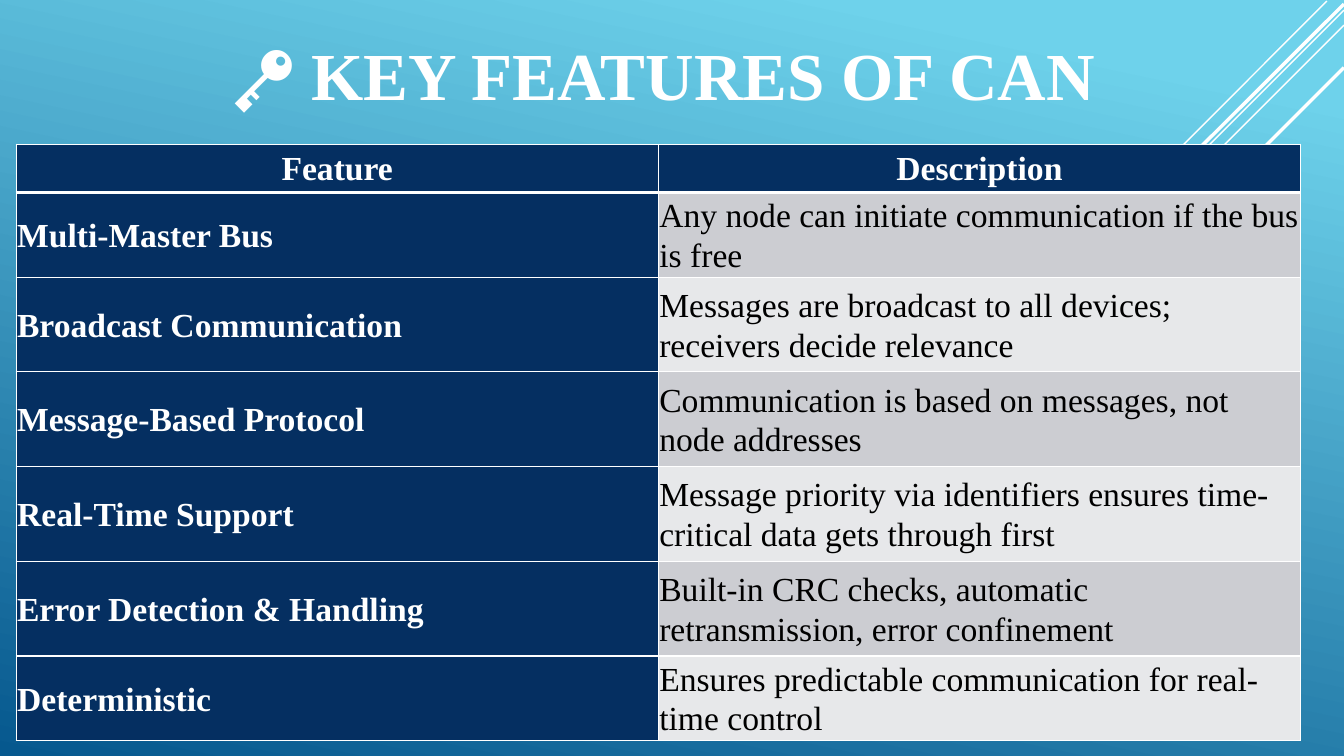
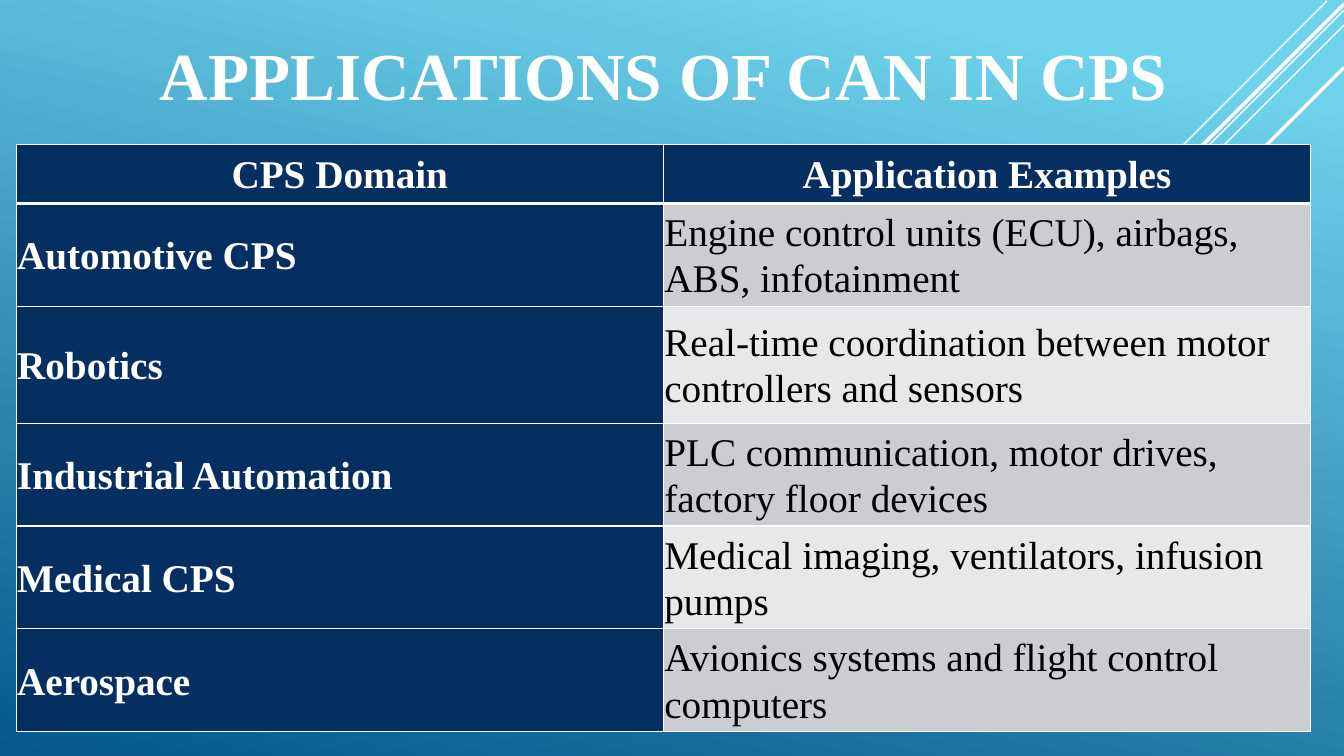
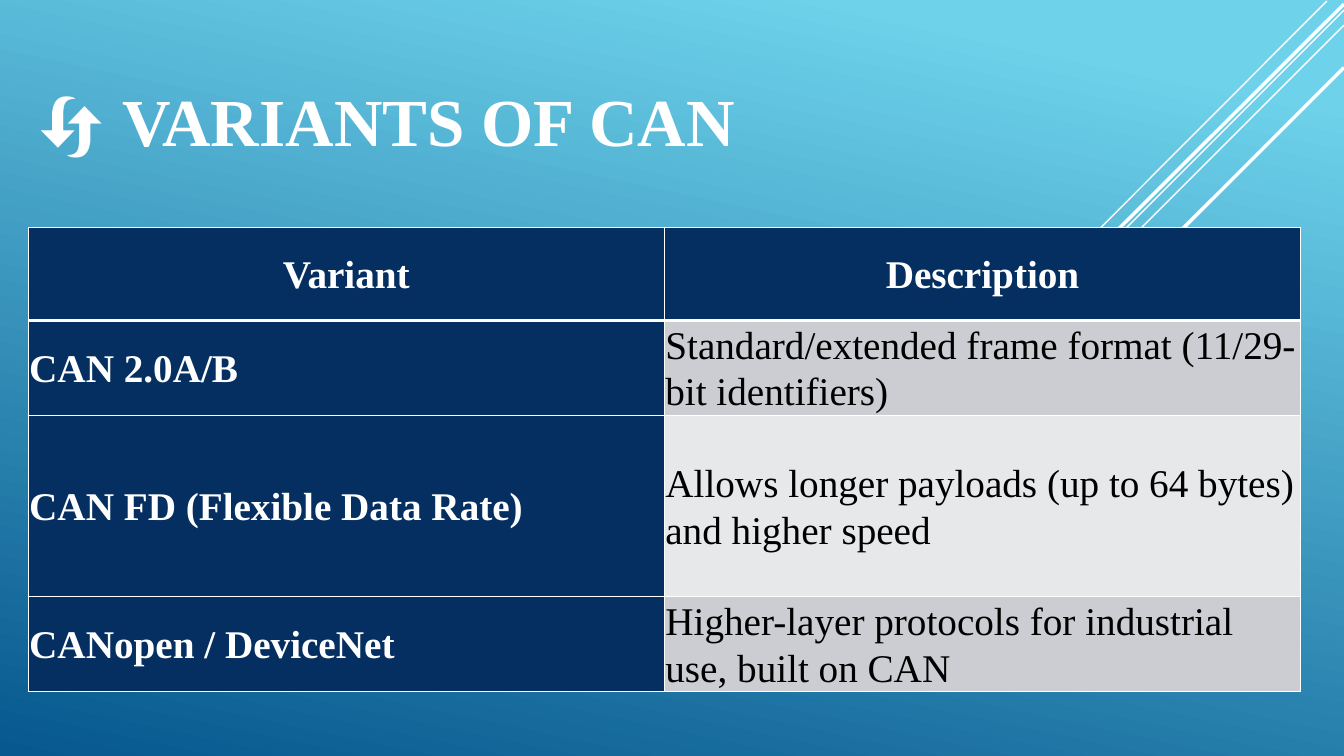
from dataclasses import dataclass

from lxml.etree import SubElement
from pptx import Presentation
from pptx.dml.color import RGBColor
from pptx.enum.shapes import MSO_CONNECTOR
from pptx.enum.text import MSO_ANCHOR, MSO_AUTO_SIZE, PP_ALIGN
from pptx.oxml.ns import qn
from pptx.util import Inches, Pt


@dataclass(frozen=True)
class Theme:
    white: str = "FFFFFF"
    black: str = "000000"
    navy: str = "052F61"
    bands: tuple = ("CCCDD2", "E7E8EA")
    sky: tuple = ((0.1, "6ED2EB"), (1, "06588E"))
    angle: int = 258
    serif: str = "Times New Roman"
    sans: str = "League Spartan"
    title: int = 48
    thin: float = 1
    thick: float = 3
    inset: float = 0.01
    leading: float = 1.07


THEME = Theme()

RAYS = [
    ((13.16, 0.01), (9, 4.18), 1),
    ((13.33, 0.1), (6.68, 6.75), 1),
    ((13.33, 0.25), (7.91, 5.67), 1),
    ((13.33, 0.04), (8.02, 5.34), 2.5),
    ((13.33, 0.67), (8.58, 5.42), 2.5),
]

SLIDES = [
    {
        "title": [("🔑 KEY FEATURES OF CAN", THEME.serif)],
        "align": PP_ALIGN.CENTER,
        "tall": 1,
        "at": (0.16, 1.43),
        "col": 6.37,
        "rows": [0.48, 0.84, 0.94, 0.94, 0.94, 0.94, 0.84],
        "size": 24,
        "cells": [
            ("Feature", "Description"),
            ("Multi-Master Bus", "Any node can initiate communication if the bus is free"),
            ("Broadcast Communication", "Messages are broadcast to all devices; receivers decide relevance"),
            ("Message-Based Protocol", "Communication is based on messages, not node addresses"),
            ("Real-Time Support", "Message priority via identifiers ensures time-critical data gets through first"),
            ("Error Detection & Handling", "Built-in CRC checks, automatic retransmission, error confinement"),
            ("Deterministic", "Ensures predictable communication for real-time control"),
        ],
    },
    {
        "title": [("APPLICATIONS OF CAN IN CPS", THEME.serif)],
        "align": PP_ALIGN.CENTER,
        "tall": 1,
        "at": (0.16, 1.43),
        "col": 6.42,
        "rows": [0.59, 1.02, 1.16, 1.02, 1.02, 1.02],
        "size": 28,
        "cells": [
            ("CPS Domain", "Application Examples"),
            ("Automotive CPS", "Engine control units (ECU), airbags, ABS, infotainment"),
            ("Robotics", "Real-time coordination between motor controllers and sensors"),
            ("Industrial Automation", "PLC communication, motor drives, factory floor devices"),
            ("Medical CPS", "Medical imaging, ventilators, infusion pumps"),
            ("Aerospace", "Avionics systems and flight control computers"),
        ],
    },
    {
        "title": [("🔄 ", THEME.sans), ("VARIANTS OF CAN", THEME.serif)],
        "align": PP_ALIGN.LEFT,
        "tall": 1.46,
        "at": (0.28, 2.26),
        "col": 6.31,
        "rows": [0.92, 0.92, 1.8, 0.92],
        "size": 28,
        "cells": [
            ("Variant", "Description"),
            ("CAN 2.0A/B", "Standard/extended frame format (11/29-bit identifiers)"),
            ("CAN FD (Flexible Data Rate)", "Allows longer payloads (up to 64 bytes) and higher speed"),
            ("CANopen / DeviceNet", "Higher-layer protocols for industrial use, built on CAN"),
        ],
    },
]


def rgb(tone):
    return RGBColor.from_string(tone)


def add_run(para, text, face, size, tone, bold):
    run = para.add_run()
    run.text = text
    font = run.font
    font.name, font.size, font.bold = face, Pt(size), bold
    font.color.rgb = rgb(tone)


def paint_back(master):
    fill = master.background.fill
    fill.gradient()
    fill.gradient_angle = THEME.angle
    for stop, (spot, tone) in zip(fill.gradient_stops, THEME.sky):
        stop.position = spot
        stop.color.rgb = rgb(tone)


def move_rays(slide, master):
    for mark, (start, end, width) in enumerate(RAYS, 101):
        ray = slide.shapes.add_connector(
            MSO_CONNECTOR.STRAIGHT, *(Inches(v) for v in start + end))
        ray.line.color.rgb = rgb(THEME.white)
        ray.line.width = Pt(width)
        SubElement(ray.element.spPr, qn("a:effectLst"))
        ray.element.xpath(".//p:cNvPr")[0].set("id", str(mark))
        master.shapes.element.append(ray.element)


def add_title(slide, data):
    title = slide.shapes.title
    title.left, title.top = Inches(0.28), Inches(0.18)
    title.width, title.height = Inches(12.61), Inches(data["tall"])
    frame = title.text_frame
    frame.auto_size = MSO_AUTO_SIZE.NONE
    frame.vertical_anchor = MSO_ANCHOR.BOTTOM
    para = frame.paragraphs[0]
    para.alignment = data["align"]
    for text, face in data["title"]:
        add_run(para, text, face, THEME.title, THEME.white, True)


def add_edges(cell, row):
    edges = {
        "L": THEME.thin,
        "R": THEME.thin,
        "T": THEME.thick if row == 1 else THEME.thin,
        "B": THEME.thick if row == 0 else THEME.thin,
    }
    props = cell._tc.get_or_add_tcPr()
    for side, width in edges.items():
        edge = SubElement(props, qn(f"a:ln{side}"), w=str(Pt(width)))
        fill = SubElement(edge, qn("a:solidFill"))
        SubElement(fill, qn("a:srgbClr"), val=THEME.white)


def fill_cell(cell, text, row, col, size):
    head = row == 0 or col == 0
    add_edges(cell, row)
    cell.fill.solid()
    cell.fill.fore_color.rgb = rgb(THEME.navy if head else THEME.bands[(row - 1) % 2])
    cell.vertical_anchor = MSO_ANCHOR.MIDDLE
    cell.margin_left = cell.margin_right = Inches(THEME.inset)
    cell.margin_top = cell.margin_bottom = Inches(THEME.inset)
    para = cell.text_frame.paragraphs[0]
    para.alignment = PP_ALIGN.LEFT if row else PP_ALIGN.CENTER
    para.line_spacing = THEME.leading
    add_run(para, text, THEME.serif, size, THEME.white if head else THEME.black, head)


def add_grid(slide, data):
    left, top = data["at"]
    cells, rows = data["cells"], data["rows"]
    count = len(cells[0])
    grid = slide.shapes.add_table(
        len(cells), count, Inches(left), Inches(top),
        Inches(data["col"] * count), Inches(sum(rows))).table
    for col in grid.columns:
        col.width = Inches(data["col"])
    for row, (texts, height) in enumerate(zip(cells, rows)):
        grid.rows[row].height = Inches(height)
        for col, text in enumerate(texts):
            fill_cell(grid.cell(row, col), text, row, col, data["size"])


def main():
    deck = Presentation()
    deck.slide_width, deck.slide_height = Inches(13.33), Inches(7.5)
    master = deck.slide_master
    paint_back(master)
    for data in SLIDES:
        slide = deck.slides.add_slide(deck.slide_layouts.get_by_name("Title Only"))
        add_title(slide, data)
        add_grid(slide, data)
    move_rays(deck.slides[0], master)
    deck.save("out.pptx")


if __name__ == "__main__":
    main()
